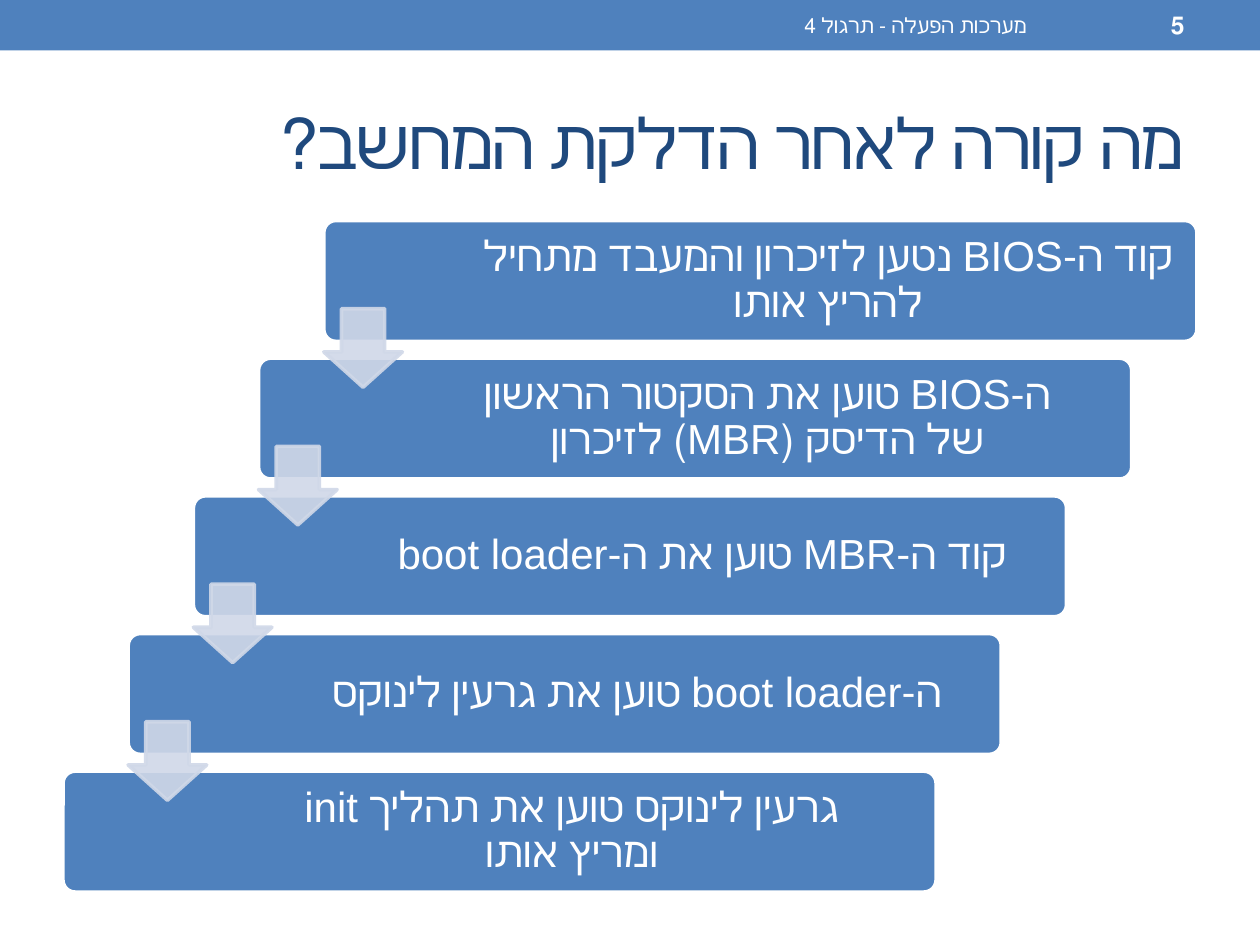
from lxml.etree import SubElement
from pptx import Presentation
from pptx.dml.color import RGBColor
from pptx.enum.shapes import MSO_SHAPE
from pptx.enum.text import MSO_ANCHOR, MSO_AUTO_SIZE, PP_ALIGN
from pptx.oxml.ns import qn
from pptx.util import Inches, Pt

COLS, ROWS = 100, 75
WIDE, HIGH = Inches(10), Inches(7.5)
HUES = {"blue": "4F81BD", "navy": "1F497D", "white": "FFFFFF", "pale": "D0D8E8"}
HEAD, BODY = "DejaVu Sans Mono", "Arial"
STEPS = [
    "קוד ה-BIOS נטען לזיכרון והמעבד מתחיל להריץ אותו",
    "ה-BIOS טוען את הסקטור הראשון\nשל הדיסק (MBR) לזיכרון",
    "קוד ה-MBR טוען את ה-boot loader",
    "ה-boot loader טוען את גרעין לינוקס",
    "גרעין לינוקס טוען את תהליך init\nומריץ אותו",
]


def place(box):
    """Turn a box of grid columns and rows into slide lengths."""
    x, y, w, h = box
    return (int(WIDE * x / COLS), int(HIGH * y / ROWS),
            int(WIDE * w / COLS), int(HIGH * h / ROWS))


def color(name):
    """Look up a named colour."""
    return RGBColor.from_string(HUES[name])


def write(shape, text, size, face, hue="white", align=PP_ALIGN.RIGHT):
    """Put one right-to-left paragraph in a shape and return it."""
    frame = shape.text_frame
    frame.word_wrap = True
    frame.auto_size = MSO_AUTO_SIZE.NONE
    frame.vertical_anchor = MSO_ANCHOR.MIDDLE
    para = frame.paragraphs[0]
    para.text = text
    para.alignment = align
    font = para.font
    font.size, font.name = Pt(size), face
    font.color.rgb = color(hue)
    para._p.get_or_add_pPr().set("rtl", "1")
    return para


def label(slide, box, *args, **opts):
    """Add a text box and return its paragraph."""
    return write(slide.shapes.add_textbox(*place(box)), *args, **opts)


def block(slide, kind, box, fill, line=None, bends=(), alpha=None):
    """Add a flat preset shape, partly see-through if alpha is given."""
    shape = slide.shapes.add_shape(kind, *place(box))
    shape.shadow.inherit = False
    for i, bend in enumerate(bends):
        shape.adjustments[i] = bend
    shape.fill.solid()
    shape.fill.fore_color.rgb = color(fill)
    if line:
        shape.line.color.rgb = color(line)
        shape.line.width = Pt(2.08)
    else:
        shape.line.fill.background()
    if alpha:
        for tint in shape._element.spPr.iter(qn("a:srgbClr")):
            SubElement(tint, qn("a:alpha")).set("val", str(alpha * 1000))


def header(slide, box):
    """Draw the top band with the course name and page number."""
    x, y, w, h = box
    block(slide, MSO_SHAPE.RECTANGLE, box, "blue")
    top, tall = y + 0.05 * h, 0.9 * h
    label(slide, (x + 0.375 * w, top, 0.45 * w, tall),
          "מערכות הפעלה - תרגול 4", 12, HEAD)
    page = label(slide, (x + 0.833 * w, top, 0.117 * w, tall), "5", 14, HEAD)
    page.font.bold = True


def heading(slide, box):
    """Place and format the title."""
    title = slide.shapes.title
    title.left, title.top, title.width, title.height = place(box)
    para = write(title, "מה קורה לאחר הדלקת המחשב?", 40, HEAD, "navy")
    para._p.pPr.find(qn("a:defRPr")).set("spc", "-100")


def stairs(slide, box):
    """Draw the steps going down to the left, joined by arrows."""
    x, y, w, h = box
    wide, tall = 0.77 * w, 0.18 * h
    last = len(STEPS) - 1
    spots = [(x + (w - wide) * (last - i) / last, y + (h - tall) * i / last)
             for i in range(len(STEPS))]
    for (left, top), text in zip(spots, STEPS):
        block(slide, MSO_SHAPE.ROUNDED_RECTANGLE, (left, top, wide, tall),
              "blue", "white", [0.1])
        inset = 0.16 if top == y else 0.17
        para = label(slide, (left + inset * wide, top + 0.03 * tall,
                             (0.995 - inset) * wide, 0.94 * tall),
                     text, 24, BODY, align=PP_ALIGN.CENTER)
        para.line_spacing = 0.9
        frame = slide.shapes[-1].text_frame
        frame.margin_top = frame.margin_bottom = Inches(0.1)
    side = 0.65 * tall
    for left, top in spots[:-1]:
        block(slide, MSO_SHAPE.DOWN_ARROW, (left, top + 0.73 * tall, side, side),
              "pale", "pale", [0.55, 0.45], 90)


def main():
    """Build and save the slide."""
    deck = Presentation()
    deck.slide_width, deck.slide_height = WIDE, HIGH
    slide = deck.slides.add_slide(deck.slide_layouts[5])
    header(slide, (0, 0, COLS, 4))
    heading(slide, (5, 5.8, 90, 10.8))
    stairs(slide, (5, 17.5, 90, 53.3))
    deck.save("out.pptx")


if __name__ == "__main__":
    main()
